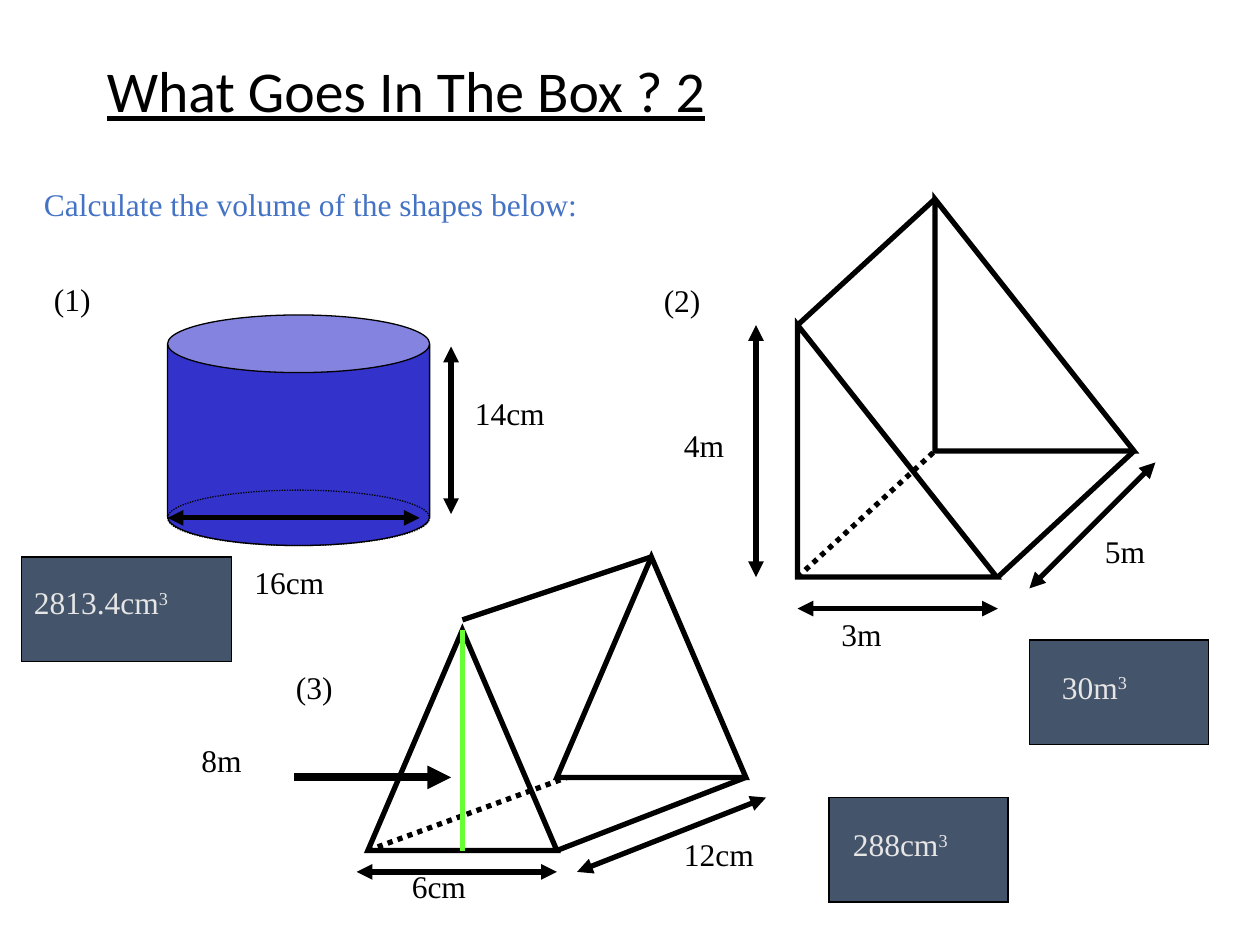
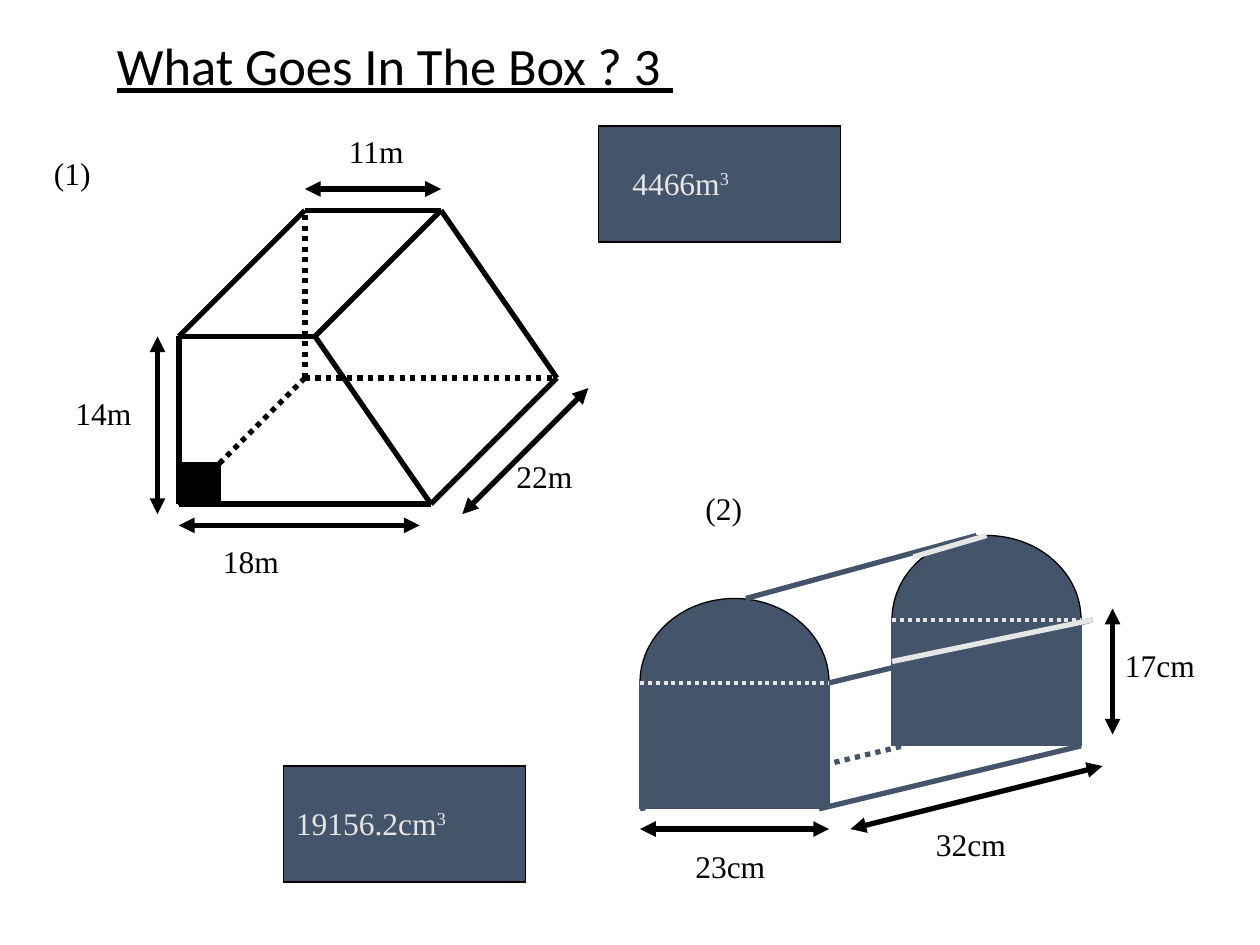
import pptx
import pptx.dml.color
import pptx.enum.dml
import pptx.enum.shapes
import pptx.enum.text
import pptx.oxml.ns
import pptx.util
from dataclasses import dataclass
from itertools import pairwise
from lxml import etree

Inches = pptx.util.Inches
SHAPES = pptx.enum.shapes.MSO_SHAPE


@dataclass(frozen=True)
class Theme:
    black: str = "000000"
    slate: str = "44546A"
    pale: str = "E7E6E6"
    task: str = "4472C4"
    cylinder: str = "3333CC"
    height: str = "66FF33"
    title_font: str = "Calibri"
    body_font: str = "Times New Roman"
    body_size: float = 18
    outline: float = 0.75
    divider: float = 2.25
    edge: float = 3
    pointer: float = 4.5


THEME = Theme()


def rgb(code):
    return pptx.dml.color.RGBColor.from_string(code)


def assign(target, values):
    for name, value in values.items():
        setattr(target, name, value)


def add_xml(parent, tag, **attributes):
    etree.SubElement(parent, pptx.oxml.ns.qn(tag), attributes)


class Worksheet:
    def __init__(self, theme):
        self.theme = theme
        self.deck = pptx.Presentation()
        assign(self.deck, {"slide_width": Inches(10), "slide_height": Inches(7.5)})
        self.slide = None

    def start(self, title, box, size):
        self.slide = self.deck.slides.add_slide(self.deck.slide_layouts[6])
        frame = self.text(title, *box, size=size, font=self.theme.title_font, underline=True)
        frame.vertical_anchor = pptx.enum.text.MSO_ANCHOR.MIDDLE
        frame.paragraphs[0].line_spacing = 0.9

    def text(self, words, left, top, width, height=0.4, color=None, size=None,
             font=None, underline=None, power=""):
        frame = self.slide.shapes.add_textbox(
            Inches(left), Inches(top), Inches(width), Inches(height)).text_frame
        frame.word_wrap = True
        for part in filter(None, (words, power)):
            run = frame.paragraphs[0].add_run()
            run.text = part
            assign(run.font, {"name": font or self.theme.body_font,
                              "size": pptx.util.Pt(size or self.theme.body_size),
                              "underline": underline})
            run.font.color.rgb = rgb(color or self.theme.black)
        if power:
            run._r.get_or_add_rPr().set("baseline", "30000")
        return frame

    def labels(self, entries):
        for words, *box in entries:
            self.text(words, *box)

    def stroke(self, line, color, width, dotted):
        line.color.rgb = rgb(color or self.theme.black)
        line.width = pptx.util.Pt(width)
        if dotted:
            line.dash_style = pptx.enum.dml.MSO_LINE.ROUND_DOT

    def solid(self, kind, left, top, width, height, fill=None, color=None,
              weight=None, dotted=False):
        shape = self.slide.shapes.add_shape(
            kind, Inches(left), Inches(top), Inches(width), Inches(height))
        shape.shadow.inherit = False
        if fill:
            shape.fill.solid()
            shape.fill.fore_color.rgb = rgb(fill)
        else:
            shape.fill.background()
        self.stroke(shape.line, color, weight or self.theme.outline, dotted)
        add_xml(shape.line._get_or_add_ln(), "a:miter", lim="800000")
        return shape

    def edge(self, start, end, color=None, weight=None, dotted=False, heads=()):
        edge = self.slide.shapes.add_connector(
            pptx.enum.shapes.MSO_CONNECTOR.STRAIGHT, *map(Inches, start + end))
        self.stroke(edge.line, color, weight or self.theme.edge, dotted)
        for head in heads:
            add_xml(edge.line._get_or_add_ln(), head, type="triangle")
        add_xml(edge._element.spPr, "a:effectLst")

    def edges(self, pairs, **style):
        for start, end in pairs:
            self.edge(start, end, **style)

    def dimensions(self, pairs):
        self.edges(pairs, heads=("a:headEnd", "a:tailEnd"))

    def answer(self, value, box, place):
        self.solid(SHAPES.RECTANGLE, *box, fill=self.theme.slate)
        self.text(value, *place, color=self.theme.pale, power="3")

    def arch(self, left, top):
        width, spring = 1.5, top + 0.67
        slate = self.theme.slate
        self.solid(SHAPES.OVAL, left, top, width, 1.33, fill=slate)
        self.solid(SHAPES.RECTANGLE, left, spring, width, 1, fill=slate, color=slate)
        self.edge((left, spring), (left + width, spring), color=self.theme.pale,
                  weight=self.theme.divider, dotted=True)


def box_two(sheet):
    sheet.start("What Goes In The Box ? 2", (0.75, 0.33, 8.5, 0.83), 33)
    sheet.text("Calculate the volume of the shapes below:", 0.25, 1.42, 6.33,
               color=THEME.task)

    cylinder = sheet.solid(SHAPES.CAN, 1.33, 2.5, 2.08, 1.83, fill=THEME.cylinder)
    cylinder.adjustments[0] = 0.25
    sheet.solid(SHAPES.OVAL, 1.33, 3.89, 2.08, 0.44, dotted=True)

    for left, top in ((6.33, 2.58), (7.42, 1.58)):
        sheet.solid(SHAPES.RIGHT_TRIANGLE, left, top, 1.58, 2, weight=THEME.edge)
    for left, top in ((2.92, 5), (4.42, 4.42)):
        sheet.solid(SHAPES.ISOSCELES_TRIANGLE, left, top, 1.5, 1.75, weight=THEME.edge)
    sheet.edges([((6.33, 2.58), (7.42, 1.58)), ((7.92, 4.58), (9, 3.58)),
                 ((3.67, 4.92), (5.17, 4.42)), ((4.42, 6.75), (5.92, 6.17))])
    sheet.edges([((6.33, 4.58), (7.42, 3.58)), ((2.92, 6.75), (4.5, 6.17))], dotted=True)
    sheet.edge((3.67, 5), (3.67, 6.75), color=THEME.height)
    sheet.edge((3.58, 6.17), (2.33, 6.17), weight=THEME.pointer, heads=("a:headEnd",))

    sheet.dimensions([
        ((1.33, 4.11), (3.33, 4.11)), ((3.58, 2.75), (3.58, 4.08)),
        ((6, 2.58), (6, 4.58)), ((6.33, 4.83), (7.92, 4.83)),
        ((9.17, 3.67), (8.17, 4.67)), ((4.58, 6.92), (6.08, 6.33)),
        ((2.83, 6.92), (4.42, 6.92))])
    sheet.labels([
        ("(1)", 0.33, 2.17, 0.83), ("16cm", 1.92, 4.42, 1), ("14cm", 3.67, 3.08, 1.17),
        ("(2)", 5.17, 2.18, 0.83), ("3m", 6.58, 4.83, 0.92), ("4m", 5.33, 3.33, 0.75),
        ("5m", 8.67, 4.17, 0.67), ("(3)", 2.25, 5.25, 0.75), ("6cm", 3.17, 6.83, 0.83),
        ("12cm", 5.33, 6.58, 1.25), ("8m", 1.5, 5.83, 0.67)])

    sheet.answer("2813.4cm", (0.17, 4.42, 1.67, 0.83), (0.17, 4.58, 1.92))
    sheet.answer("30m", (8.17, 5.08, 1.42, 0.83), (8.33, 5.25, 1.25))
    sheet.answer("288cm", (6.58, 6.33, 1.42, 0.83), (6.67, 6.5, 1.42))


def box_three(sheet):
    sheet.start("What Goes In The Box ? 3 ", (0.83, 0.25, 8.5, 0.58), 30)

    front = [(1.42, 4), (1.42, 2.67), (2.5, 2.67), (3.42, 4)]
    back = [(2.42, 3), (2.42, 1.67), (3.5, 1.67), (4.42, 3)]
    hidden = back[0]
    sheet.edges(pairwise(front + front[:1]))
    sheet.edges(list(zip(front, back))[1:])
    sheet.edges(pairwise(back[1:]))
    sheet.edges([(hidden, corner) for corner in (front[0], back[1], back[3])], dotted=True)
    sheet.solid(SHAPES.RECTANGLE, 1.42, 3.67, 0.33, 0.33, fill=THEME.black)

    for left, top in ((5.08, 4.75), (7.08, 4.25)):
        sheet.arch(left, top)
    sheet.edges([((6.5, 6.42), (8.58, 5.92)), ((6.58, 5.42), (8.67, 4.92)),
                 ((5.92, 4.75), (7.75, 4.25))], color=THEME.slate)
    sheet.edge((5.08, 6.42), (7.17, 5.92), color=THEME.slate, dotted=True)
    sheet.edges([((7.08, 5.25), (8.67, 4.92)), ((7.25, 4.42), (7.83, 4.25))],
                color=THEME.pale)

    sheet.dimensions([
        ((1.42, 4.17), (3.33, 4.17)), ((3.67, 4.08), (4.67, 3.08)),
        ((2.42, 1.5), (3.5, 1.5)), ((1.25, 2.67), (1.25, 4.08)),
        ((5.08, 6.58), (6.58, 6.58)), ((6.75, 6.58), (8.75, 6.08)),
        ((8.83, 4.83), (8.83, 5.83))])
    sheet.labels([
        ("18m", 1.67, 4.25, 0.83), ("22m", 4, 3.58, 0.83), ("14m", 0.5, 3.08, 0.92),
        ("11m", 2.67, 1, 1), ("(1)", 0.33, 1.17, 0.75), ("23cm", 5.42, 6.67, 1.17),
        ("32cm", 7.33, 6.5, 1.17), ("17cm", 8.83, 5.08, 1), ("(2)", 5.5, 3.83, 0.67)])

    sheet.answer("4466m", (4.75, 1, 1.92, 0.92), (4.92, 1.25, 1.67))
    sheet.answer("19156.2cm", (2.25, 6.08, 1.92, 0.92), (2.25, 6.33, 1.92))


def main():
    sheet = Worksheet(THEME)
    box_two(sheet)
    box_three(sheet)
    sheet.deck.save("out.pptx")


if __name__ == "__main__":
    main()
